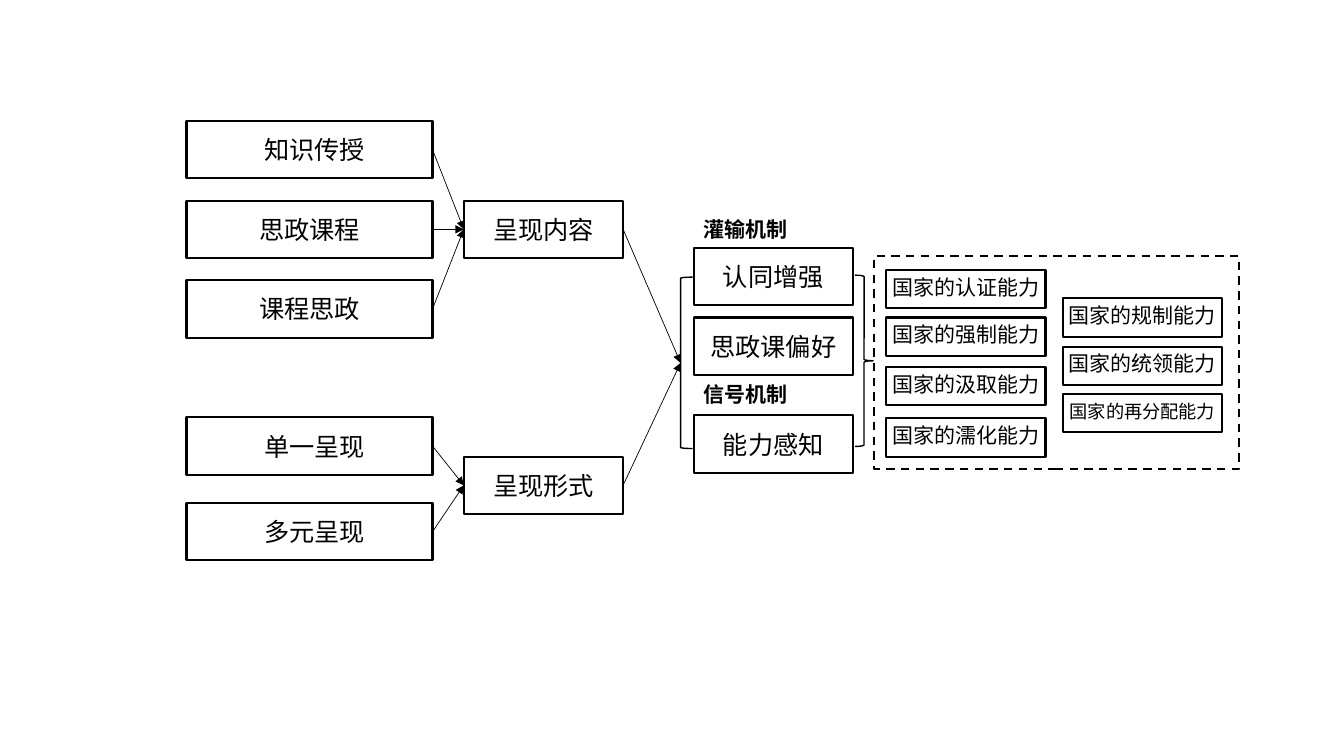
from pptx import Presentation
from pptx.dml.color import RGBColor
from pptx.enum.dml import MSO_LINE
from pptx.enum.shapes import MSO_CONNECTOR, MSO_SHAPE
from pptx.enum.text import MSO_ANCHOR as Anchor, PP_ALIGN as Align
from pptx.oxml.ns import qn
from pptx.util import Inches, Pt
from lxml.etree import SubElement

LEFT_SITE, RIGHT_SITE = 1, 3


def color(hex_string):
    return RGBColor.from_string(hex_string)


class Diagram:
    font = "Noto Sans CJK SC"
    ink = "000000"

    def __init__(self, slide):
        self.slide = slide

    def outline(self, kind, left, top, width, height, weight=1.5, dashed=False):
        shape = self.slide.shapes.add_shape(
            kind, Inches(left), Inches(top), Inches(width), Inches(height))
        shape.shadow.inherit = False
        shape.fill.background()
        shape.line.color.rgb = color(self.ink)
        shape.line.width = Pt(weight)
        if dashed:
            shape.line.dash_style = MSO_LINE.DASH
        return shape

    def add_text(self, shape, text, size, align, bold=False):
        frame = shape.text_frame
        frame.word_wrap = True
        paragraph = frame.paragraphs[0]
        paragraph.alignment = align
        run = paragraph.add_run()
        run.text = text
        run.font.size = Pt(size)
        run.font.bold = bold
        run.font.name = self.font
        run.font.color.rgb = color(self.ink)
        east_asian = SubElement(run.font._element, qn("a:ea"))
        east_asian.set("typeface", self.font)

    def box(self, text, left, top, width=1.58, height=0.57, size=18,
            left_inset=0, bottom_inset=0):
        shape = self.outline(MSO_SHAPE.RECTANGLE, left, top, width, height)
        frame = shape.text_frame
        frame.margin_right = frame.margin_top = 0
        frame.margin_left = Inches(left_inset)
        frame.margin_bottom = Inches(bottom_inset)
        frame.vertical_anchor = Anchor.MIDDLE
        self.add_text(shape, text, size, Align.CENTER)
        return shape

    def label(self, text, left, top):
        shape = self.slide.shapes.add_textbox(
            Inches(left), Inches(top), Inches(1.18), Inches(0.35))
        self.add_text(shape, text, 15, Align.LEFT, bold=True)

    def arrow(self, source, target):
        connector = self.slide.shapes.add_connector(MSO_CONNECTOR.STRAIGHT, 0, 0, 0, 0)
        connector.begin_connect(source, RIGHT_SITE)
        connector.end_connect(target, LEFT_SITE)
        connector.line.color.rgb = color(self.ink)
        connector.line.width = Pt(0.5)
        line = connector.line._get_or_add_ln()
        SubElement(line, qn("a:tailEnd")).set("type", "triangle")
        SubElement(connector._element.spPr, qn("a:effectLst"))


presentation = Presentation()
presentation.slide_width = Inches(13.33)
presentation.slide_height = Inches(7.5)
diagram = Diagram(presentation.slides.add_slide(presentation.slide_layouts[6]))

# Mechanisms and the brackets around them
for text, top in [("认同增强", 2.46), ("思政课偏好", 3.15), ("能力感知", 4.12)]:
    diagram.box(text, 6.88, top)
for text, top in [("灌输机制", 2.1), ("信号机制", 3.74)]:
    diagram.label(text, 6.88, top)
bracket = diagram.outline(MSO_SHAPE.LEFT_BRACKET, 6.75, 2.75, 0.12, 1.7, weight=1)
diagram.outline(MSO_SHAPE.RIGHT_BRACE, 8.48, 2.73, 0.18, 1.7, weight=1)

# Sources (text, top, left inset) feeding each side of the presentation
branches = [
    ("呈现内容", 1.99, [("知识传授", 1.2, 0.1), ("思政课程", 1.99, 0), ("课程思政", 2.78, 0)]),
    ("呈现形式", 4.53, [("单一呈现", 4.14, 0.1), ("多元呈现", 4.99, 0.1)]),
]
for branch_text, branch_top, sources in branches:
    branch = diagram.box(branch_text, 4.6, branch_top)
    for text, top, inset in sources:
        source = diagram.box(text, 1.85, top, width=2.44, left_inset=inset)
        diagram.arrow(source, branch)
    diagram.arrow(branch, bracket)

# State capacities in a dashed frame
diagram.outline(MSO_SHAPE.RECTANGLE, 8.67, 2.54, 3.62, 2.11, dashed=True)
capacity_columns = [
    (8.79, [("认证", 2.68, 15), ("强制", 3.15, 15), ("汲取", 3.64, 15), ("濡化", 4.15, 15)]),
    (10.54, [("规制", 2.96, 15), ("统领", 3.44, 15), ("再分配", 3.91, 13)]),
]
for left, capacities in capacity_columns:
    for name, top, size in capacities:
        diagram.box(f"国家的{name}能力", left, top, height=0.38, size=size, bottom_inset=0.05)

presentation.save("out.pptx")
